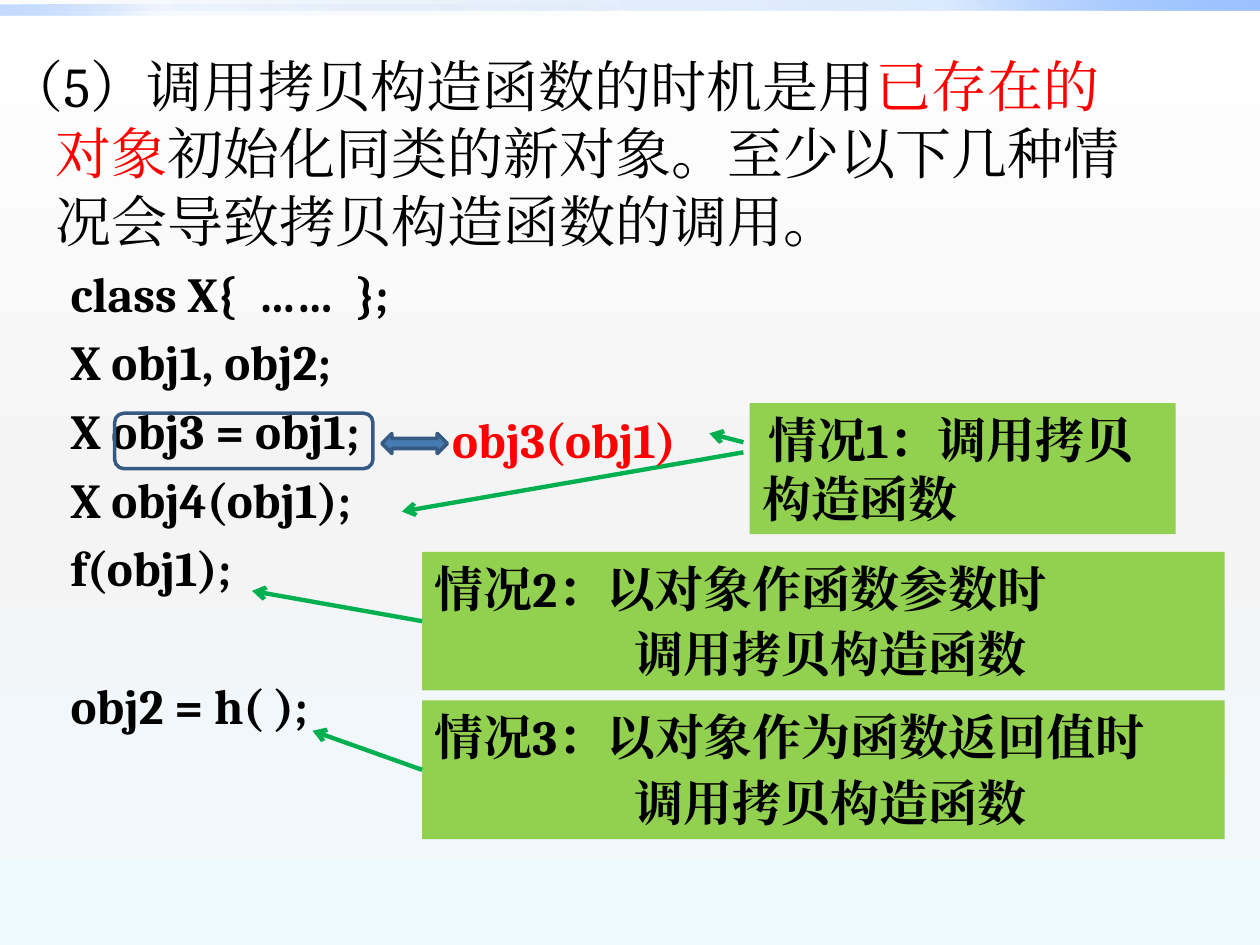
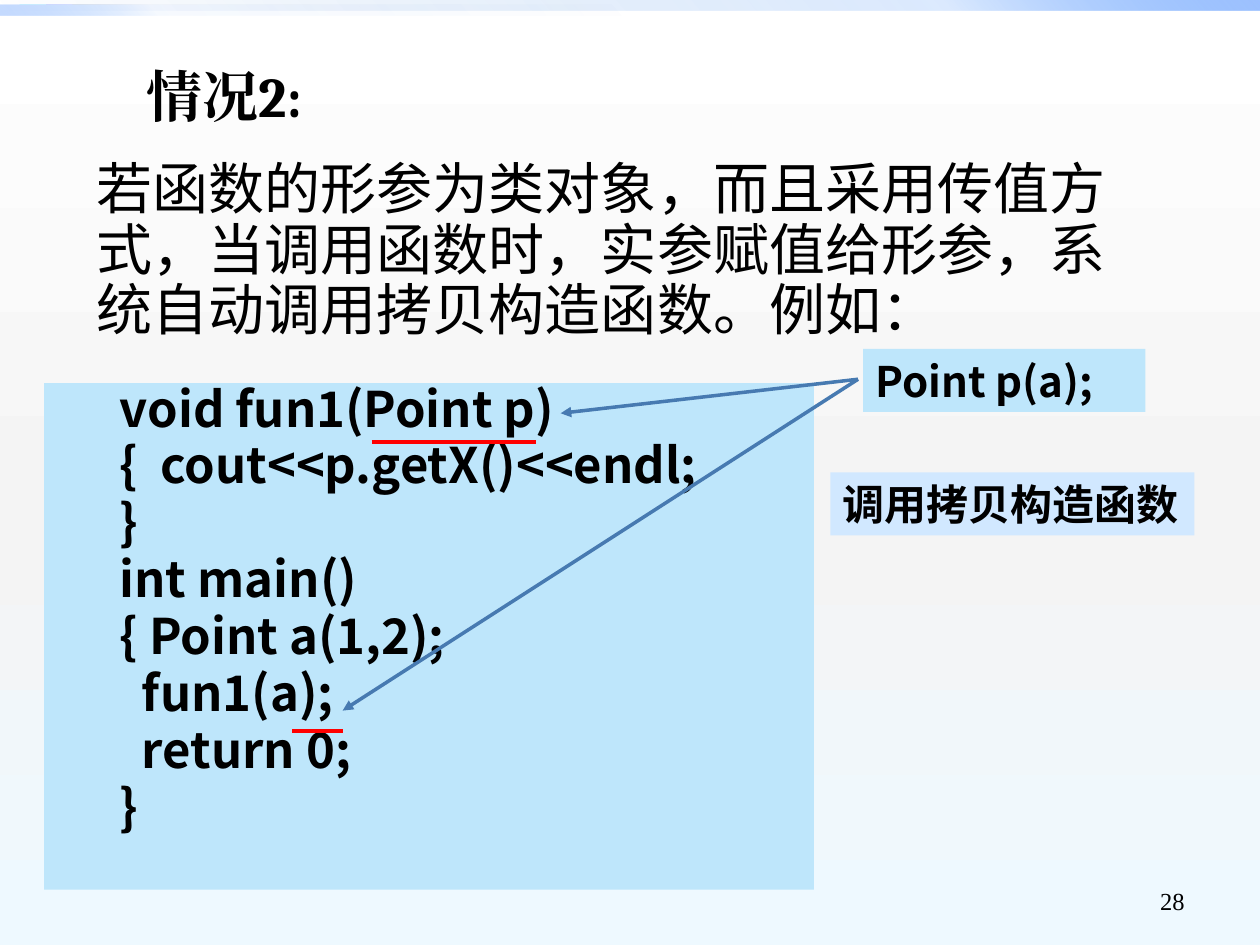
import pptx
import pptx.util
import pptx.dml.color
import pptx.enum.shapes
import pptx.enum.text
import pptx.oxml
import pptx.oxml.ns
from dataclasses import dataclass
from lxml import etree

Inches = pptx.util.Inches
Pt = pptx.util.Pt
SHAPE = pptx.enum.shapes.MSO_SHAPE
ALIGN = pptx.enum.text.PP_ALIGN
ANCHOR = pptx.enum.text.MSO_ANCHOR
qn = pptx.oxml.ns.qn


@dataclass(frozen=True)
class Theme:
    serif: str = "Cambria"
    sans: str = "Noto Sans CJK SC"
    number_font: str = "Times New Roman"
    ink: str = "000000"
    red: str = "FF0000"
    note: str = "92D050"
    note_arrow: str = "00B050"
    blue: str = "477AB1"
    blue_edge: str = "355A83"
    code_fill: str = "BEE6FB"
    label_fill: str = "D1E8FF"
    head: int = 32
    code: int = 28
    label: int = 24
    number: int = 14
    # Gradient stops: position %, colour, opacity %
    page: tuple = ((0, "FFFFFF", 100), (55, "F4F4F4", 100), (100, "EEF9FF", 100))
    top_band: tuple = ((0, "0058B7", 0), (75, "4F95FF", 20), (100, "9EC2FF", 100))
    left_band: tuple = ((0, "0058B7", 0), (75, "4F95FF", 5), (100, "9EC2FF", 60))


def rgb(value):
    return pptx.dml.color.RGBColor.from_string(value)


def set_gradient(fill, stops, angle):
    """Replace the fill's default gradient with the given stops."""
    fill.gradient()
    grad = fill._fill._gradFill
    for child in list(grad):
        grad.remove(child)
    gs_list = etree.SubElement(grad, qn("a:gsLst"))
    for pos, color, opacity in stops:
        gs = etree.SubElement(gs_list, qn("a:gs"), pos=str(pos * 1000))
        clr = etree.SubElement(gs, qn("a:srgbClr"), val=color)
        etree.SubElement(clr, qn("a:alpha"), val=str(opacity * 1000))
    etree.SubElement(grad, qn("a:lin"), ang=str(angle * 60000), scaled="0")


def add_run(p, text, size, font, color=Theme.ink, bold=False):
    r = p.add_run()
    r.text = text
    r.font.size, r.font.name, r.font.bold = Pt(size), font, bold
    r.font.color.rgb = rgb(color)
    etree.SubElement(r._r.get_or_add_rPr(), qn("a:ea"), typeface=font)


def format_paragraph(p, left=0, first=0, before=None, line=None, align=None):
    """Set indents in inches, space before in points, and line spacing."""
    pPr = p._p.get_or_add_pPr()
    pPr.set("marL", str(Inches(left)))
    pPr.set("indent", str(Inches(first)))
    etree.SubElement(pPr, qn("a:buNone"))
    if before is not None:
        p.space_before = Pt(before)
    if line is not None:
        p.line_spacing = line
    if align is not None:
        p.alignment = align


class Deck:
    def __init__(self, theme):
        self.theme = theme
        self.prs = pptx.Presentation()
        self.prs.slide_width, self.prs.slide_height = Inches(10), Inches(7.5)
        self.slide = None

    def style_master(self):
        """Give the master its background and top bands, drawn on the current slide."""
        master = self.prs.slide_master
        set_gradient(master.background.fill, self.theme.page, 90)
        bands = (((0, 0, 10, 0.08), self.theme.top_band, 315),
                 ((0, 0.04, 5, 0.08), self.theme.left_band, 135))
        for i, (box, stops, angle) in enumerate(bands):
            sp = self.shape(SHAPE.RECTANGLE, box)
            set_gradient(sp.fill, stops, angle)
            master.shapes._spTree.insert(2 + i, sp._element)

    def new_slide(self):
        self.slide = self.prs.slides.add_slide(self.prs.slide_layouts[1])

    def placeholder(self, idx, box):
        sp = self.slide.placeholders[idx]
        sp.left, sp.top, sp.width, sp.height = map(Inches, box)
        tf = sp.text_frame
        tf.auto_size = pptx.enum.text.MSO_AUTO_SIZE.NONE
        tf.vertical_anchor = ANCHOR.TOP
        return sp

    def drop_title(self):
        el = self.slide.shapes.title._element
        el.getparent().remove(el)

    def shape(self, kind, box, fill=None, edge=None):
        sp = self.slide.shapes.add_shape(kind, *map(Inches, box))
        sp.shadow.inherit = False
        if fill:
            sp.fill.solid()
            sp.fill.fore_color.rgb = rgb(fill)
        else:
            sp.fill.background()
        if edge:
            sp.line.color.rgb = rgb(edge)
            sp.line.width = Pt(2)
        else:
            sp.line.fill.background()
        return sp

    def label(self, box, text, size, font, fill=None, wrap=False,
              anchor=ANCHOR.TOP, bold=True, color=Theme.ink, **layout):
        """Text in a filled rectangle, or in a text box when there is no fill."""
        if fill:
            sp = self.shape(SHAPE.RECTANGLE, box, fill)
        else:
            sp = self.slide.shapes.add_textbox(*map(Inches, box))
        tf = sp.text_frame
        tf.word_wrap, tf.vertical_anchor = wrap, anchor
        p = tf.paragraphs[0]
        format_paragraph(p, **{"align": ALIGN.LEFT, **layout})
        add_run(p, text, size, font, color, bold)
        return sp

    def note(self, box, text, second=None, first=0):
        """Green note; an optional second line is set further in."""
        t = self.theme
        sp = self.label(box, text, t.code, t.serif, t.note, wrap=True, first=first)
        if second:
            p = sp.text_frame.add_paragraph()
            format_paragraph(p, left=1.59, before=3.8, align=ALIGN.LEFT)
            add_run(p, second, t.code, t.serif, bold=True)
        return sp

    def line(self, start, end, color, width=2, head=None, source=None):
        """Straight line; source is a box whose left side it starts from."""
        cx = self.slide.shapes.add_connector(
            pptx.enum.shapes.MSO_CONNECTOR.STRAIGHT, *map(Inches, (*start, *end)))
        if source is not None:
            cx.begin_connect(source, 1)
        cx.line.color.rgb = rgb(color)
        cx.line.width = Pt(width)
        if head:
            etree.SubElement(cx.line._get_or_add_ln(), qn("a:tailEnd"), type=head)
        etree.SubElement(cx._element.spPr, qn("a:effectLst"))

    def code(self, tf, lines, line=None, gaps=None, font=None):
        """Code lines at the second list level; gaps maps a line to its space before."""
        for i, text in enumerate(lines):
            p = tf.paragraphs[0] if not tf.paragraphs[0].runs else tf.add_paragraph()
            p.level = 1
            before = 0 if p._p is tf.paragraphs[0]._p else (gaps or {}).get(i)
            format_paragraph(p, 0.81, -0.31, before, line)
            add_run(p, text, self.theme.code, font or self.theme.serif, bold=True)


def build_call_cases(deck):
    t = deck.theme
    deck.drop_title()
    tf = deck.placeholder(1, (-0.04, 0.36, 9.21, 5.83)).text_frame
    p = tf.paragraphs[0]
    format_paragraph(p, 0.38, -0.38, before=0)
    for text, color in (("（5）调用拷贝构造函数的时机是用", t.ink), ("已存在的对象", t.red),
                        ("初始化同类的新对象。至少以下几种情况会导致拷贝构造函数的调用。", t.ink)):
        add_run(p, text, t.head, t.serif, color)
    deck.code(tf, ["class X{  ……  };", "X obj1, obj2;", "X obj3 = obj1;",
                   "X obj4(obj1);", "f(obj1);", "obj2 = h( );"], gaps={5: 45})

    deck.note((5.95, 3.2, 3.38, 1.04), "情况1：调用拷贝构造函数", first=0.05)
    for start, end in (((5.9, 3.51), (5.63, 3.44)), ((5.9, 3.59), (3.19, 4.06))):
        deck.line(start, end, t.note_arrow, 2.5, "arrow")

    deck.shape(SHAPE.ROUNDED_RECTANGLE, (0.91, 3.28, 2.05, 0.44), edge=t.blue_edge)
    deck.label((3.49, 3.2, 2.14, 0.57), "obj3(obj1)", t.code, t.serif, color=t.red)
    deck.shape(SHAPE.LEFT_RIGHT_ARROW, (3.03, 3.44, 0.52, 0.16), t.blue, t.blue_edge)

    cases = (("情况2：以对象作函数参数时", (2, 4.69)),
             ("情况3：以对象作为函数返回值时", (2.48, 5.8)))
    for i, (text, target) in enumerate(cases):
        top = 4.38 + 1.18 * i
        box = deck.note((3.35, top, 6.37, 1.1), text, "调用拷贝构造函数")
        deck.line((3.35, top + 0.55), target, t.note_arrow, 2.5, "arrow", box)


def build_argument_case(deck):
    t = deck.theme
    title = deck.placeholder(0, (1.06, 0.44, 1.88, 0.64)).text_frame
    title.word_wrap = False
    format_paragraph(title.paragraphs[0], align=ALIGN.LEFT)
    add_run(title.paragraphs[0], "情况2:", t.head, t.serif, bold=True)

    body = deck.placeholder(1, (0.35, 3.04, 6.11, 4.02))
    body.fill.solid()
    body.fill.fore_color.rgb = rgb(t.code_fill)
    deck.code(body.text_frame, [
        "void fun1(Point p)", "{  cout<<p.getX()<<endl;", "}", "int main()",
        "{ Point a(1,2);", "  fun1(a);", "  return 0;", "}"], line=0.8, font=t.sans)

    deck.label((7.17, 6.95, 2.33, 0.4), "28", t.number, t.number_font, wrap=True,
               anchor=ANCHOR.MIDDLE, bold=False, align=ALIGN.RIGHT)
    deck.label((0.67, 1.23, 8.58, 1.56),
               "若函数的形参为类对象，而且采用传值方式，当调用函数时，实参赋值给形参，"
               "系统自动调用拷贝构造函数。例如：",
               t.head, t.sans, wrap=True, bold=False, line=0.9)
    for left, right, y in ((2.32, 2.72, 5.8), (2.95, 4.25, 3.51)):
        deck.line((left, y), (right, y), t.red)
    deck.label((6.85, 2.77, 2.24, 0.5), "Point p(a);", t.label, t.sans, t.code_fill)
    for target in ((2.72, 5.64), (4.45, 3.28)):
        deck.line((6.81, 3.01), target, t.blue, head="triangle")
    deck.label((6.59, 3.75, 2.89, 0.5), "调用拷贝构造函数", t.label, t.sans, t.label_fill)


def main():
    deck = Deck(Theme())
    deck.new_slide()
    deck.style_master()
    build_call_cases(deck)
    deck.new_slide()
    build_argument_case(deck)
    deck.prs.save("out.pptx")


if __name__ == "__main__":
    main()
